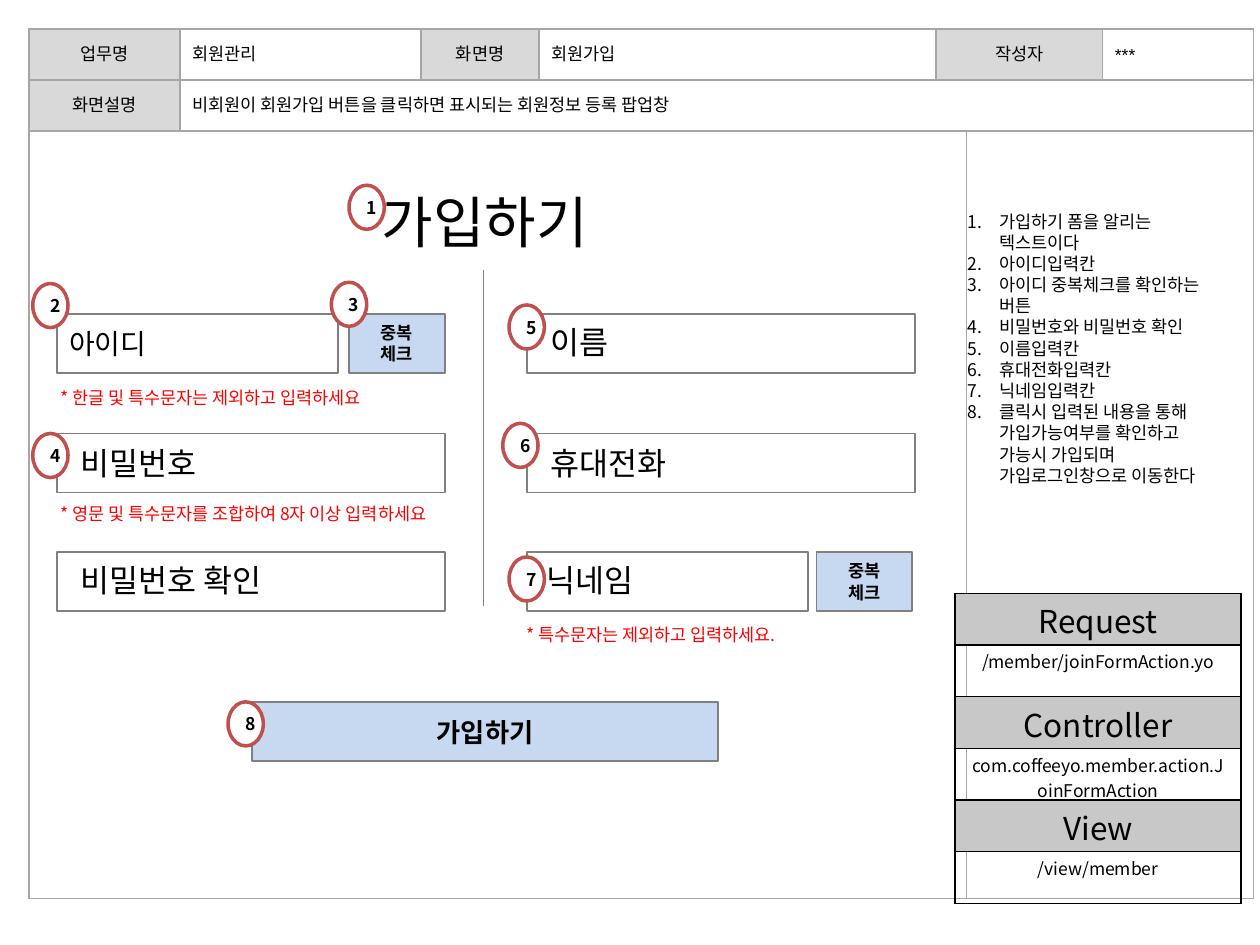
from dataclasses import dataclass
from typing import Optional
from lxml.etree import SubElement
from pptx import Presentation
from pptx.dml.color import RGBColor
from pptx.enum.shapes import MSO_CONNECTOR, MSO_SHAPE
from pptx.enum.text import MSO_ANCHOR, MSO_AUTO_SIZE, PP_ALIGN
from pptx.oxml.ns import qn
from pptx.util import Inches, Pt

COLORS = {"black": "000000", "white": "FFFFFF", "grid": "A6A6A6", "edge": "808080",
          "head": "D9D9D9", "spec": "C8C8C8", "button": "C6D9F1", "mark": "C0504D", "hint": "FF0000"}
NOTO = "Noto Sans CJK KR"
UNIT = Inches(0.1)
LINE_RATIO = 1.21
FIELD_ROWS = (24.9, 34.4, 43.8)
LEFT, RIGHT = 4.5, 41.8
FIELD_W, SHORT_W, FIELD_H = 30.8, 22.35, 4.7
CHECK_W, MARK_W, MARK_H = 7.6, 2.8, 3.5


@dataclass
class Box:
    col: float
    row: float
    cols: float
    rows: float

    def place(self) -> tuple:
        return tuple(round(v * UNIT) for v in (self.col, self.row, self.cols, self.rows))


@dataclass
class Style:
    size: float
    color: str = "black"
    bold: bool = False
    align: PP_ALIGN = PP_ALIGN.LEFT
    anchor: MSO_ANCHOR = MSO_ANCHOR.MIDDLE
    name: str = NOTO
    ratio: Optional[float] = LINE_RATIO
    numbered: bool = False


@dataclass
class Field:
    text: str
    box: Box
    label: Box


@dataclass
class Mark:
    number: int
    col: float
    row: float


@dataclass
class Hint:
    text: str
    col: float
    row: float


TITLE = Style(32, align=PP_ALIGN.CENTER, anchor=MSO_ANCHOR.TOP)
LIST = Style(10, anchor=MSO_ANCHOR.TOP, numbered=True)
CELL = Style(10, name="Arial")
CELL_HEAD = Style(10, name="Arial", align=PP_ALIGN.CENTER)
SPEC_HEAD = Style(18, align=PP_ALIGN.CENTER, anchor=MSO_ANCHOR.TOP, ratio=None)
SPEC = Style(10, align=PP_ALIGN.CENTER, anchor=MSO_ANCHOR.TOP, ratio=None)
ID_LABEL = Style(16)
LABEL = Style(18)
JOIN = Style(15, bold=True, align=PP_ALIGN.CENTER)
SMALL = Style(10, bold=True, align=PP_ALIGN.CENTER)
HINT = Style(10, "hint", anchor=MSO_ANCHOR.TOP)

FIELDS = [
    Field("비밀번호", Box(LEFT, FIELD_ROWS[1], FIELD_W, FIELD_H), Box(5.4, 35.4, 28.8, 2.6)),
    Field("비밀번호 확인", Box(LEFT, FIELD_ROWS[2], FIELD_W, FIELD_H), Box(5.4, 44.7, 28.1, 2.6)),
    Field("이름", Box(RIGHT, FIELD_ROWS[0], FIELD_W, FIELD_H), Box(42.7, 25.8, 27.7, 2.6)),
    Field("휴대전화", Box(RIGHT, FIELD_ROWS[1], FIELD_W, FIELD_H), Box(42.7, 35.4, 27, 2.6)),
    Field("닉네임", Box(RIGHT, FIELD_ROWS[2], SHORT_W, FIELD_H), Box(42.4, 44.7, 17.3, 2.6)),
]
MARKS = [Mark(1, 27.7, 14.7), Mark(2, 2.6, 22.5), Mark(3, 26.3, 22.4), Mark(4, 2.6, 34.4),
         Mark(5, 40.4, 24.2), Mark(6, 39.9, 33.6), Mark(7, 40.4, 44.2), Mark(8, 18.1, 55.7)]
HINTS = [Hint("* 한글 및 특수문자는 제외하고 입력하세요", 3.8, 30.2),
         Hint("* 영문 및 특수문자를 조합하여 8자 이상 입력하세요", 3.8, 39.4),
         Hint("* 특수문자는 제외하고 입력하세요.", 40.8, 49)]
NOTES = ["가입하기 폼을 알리는 텍스트이다", "아이디입력칸", "아이디 중복체크를 확인하는 버튼",
         "비밀번호와 비밀번호 확인", "이름입력칸", "휴대전화입력칸", "닉네임입력칸",
         "클릭시 입력된 내용을 통해 가입가능여부를 확인하고 가능시 가입되며 가입로그인창으로 이동한다"]
HEADER = [["업무명", "회원관리", "화면명", "회원가입", "작성자", "", "***"],
          ["화면설명", "비회원이 회원가입 버튼을 클릭하면 표시되는 회원정보 등록 팝업창"]]
HEADINGS = {"업무명", "화면명", "작성자", "화면설명"}
MERGES = [((0, 4), (0, 5)), ((1, 1), (1, 6)), ((2, 0), (2, 4)), ((2, 5), (2, 6))]
SPECS = ["Request", "/member/joinFormAction.yo", "Controller",
         "com.coffeeyo.member.action.JoinFormAction", "View", "/view/member"]


def rgb(key: str) -> RGBColor:
    return RGBColor.from_string(COLORS[key])


def write(tf, lines: list, st: Style) -> None:
    tf.word_wrap = True
    tf.vertical_anchor = st.anchor
    for i, line in enumerate(lines):
        p = tf.paragraphs[0] if i == 0 else tf.add_paragraph()
        spacing = Pt(st.size * st.ratio) if st.ratio else None
        for key, value in {"alignment": st.align, "space_before": Pt(0), "line_spacing": spacing}.items():
            setattr(p, key, value)
        if st.numbered:
            pPr = p._p.get_or_add_pPr()
            pPr.set("marL", str(Inches(0.25)))
            pPr.set("indent", str(-Inches(0.25)))
            SubElement(pPr, qn("a:buFont"), typeface=NOTO)
            SubElement(pPr, qn("a:buAutoNum"), type="arabicPeriod")
        r = p.add_run()
        r.text = line
        for key, value in {"size": Pt(st.size), "bold": st.bold, "name": st.name}.items():
            setattr(r.font, key, value)
        r.font.color.rgb = rgb(st.color)
        SubElement(r._r.get_or_add_rPr(), qn("a:ea"), typeface=NOTO)


def add_box(shapes, box: Box, fill: str, line: Optional[str] = "edge", width: float = 1,
            lines: Optional[list] = None, st: Style = SMALL, kind: MSO_SHAPE = MSO_SHAPE.RECTANGLE) -> None:
    sp = shapes.add_shape(kind, *box.place())
    sp.shadow.inherit = False
    sp.fill.solid()
    sp.fill.fore_color.rgb = rgb(fill)
    if line:
        sp.line.color.rgb = rgb(line)
        sp.line.width = Pt(width)
    else:
        sp.line.fill.background()
    if lines:
        write(sp.text_frame, lines, st)


def fill_placeholder(sp, box: Box, lines: list, st: Style) -> None:
    for key, value in zip(("left", "top", "width", "height"), box.place()):
        setattr(sp, key, value)
    write(sp.text_frame, lines, st)
    sp.text_frame.auto_size = MSO_AUTO_SIZE.NONE


def add_grid(s, box: Box, cols: list, rows: list, border: str):
    frame = s.shapes.add_table(len(rows), len(cols), *box.place())
    table = frame.table
    table.first_row = table.horz_banding = False
    for col, width in zip(table.columns, cols):
        col.width = round(width * UNIT)
    for row, height in zip(table.rows, rows):
        row.height = round(height * UNIT)
    for cell in table.iter_cells():
        tcPr = cell._tc.get_or_add_tcPr()
        for side in ("a:lnL", "a:lnR", "a:lnT", "a:lnB"):
            ln = SubElement(tcPr, qn(side), w=str(Pt(1)))
            SubElement(SubElement(ln, qn("a:solidFill")), qn("a:srgbClr"), val=COLORS[border])
        cell.fill.background()
    return frame


def fill_cell(cell, text: str, st: Style, fill: Optional[str]) -> None:
    write(cell.text_frame, [text], st)
    cell.vertical_anchor = st.anchor
    if fill:
        cell.fill.solid()
        cell.fill.fore_color.rgb = rgb(fill)


def main() -> None:
    prs = Presentation()
    prs.slide_width, prs.slide_height = 100 * UNIT, 75 * UNIT
    s = prs.slides.add_slide(prs.slide_layouts[1])

    frame = add_grid(s, Box(2.3, 2.3, 96.1, 69), [12, 19.1, 9.4, 31.5, 1.3, 10.8, 12],
                     [4.05, 4.05, 60.9], "grid")
    s.shapes.element.insert(2, frame.element)
    for start, end in MERGES:
        frame.table.cell(*start).merge(frame.table.cell(*end))
    for i, texts in enumerate(HEADER):
        for j, text in enumerate(texts):
            if text:
                head = text in HEADINGS
                fill_cell(frame.table.cell(i, j), text, CELL_HEAD if head else CELL, "head" if head else None)

    fill_placeholder(s.shapes.title, Box(26.9, 14.3, 23.2, 6.2), ["가입하기"], TITLE)
    fill_placeholder(s.placeholders[1], Box(75.8, 16.2, 22.7, 22.9), NOTES, LIST)

    add_box(s.shapes, Box(20, 55.7, 37, FIELD_H), "button", lines=["가입하기"], st=JOIN)
    add_box(s.shapes, Box(LEFT, FIELD_ROWS[0], SHORT_W, FIELD_H), "white", lines=["아이디"], st=ID_LABEL)
    for field in FIELDS:
        shapes = s.shapes.add_group_shape().shapes
        add_box(shapes, field.box, "white")
        add_box(shapes, field.label, "white", None, lines=[field.text], st=LABEL)
    for col, row in ((27.7, FIELD_ROWS[0]), (64.8, FIELD_ROWS[2])):
        add_box(s.shapes, Box(col, row, CHECK_W, FIELD_H), "button", lines=["중복", "체크"])

    x, top, bottom = (round(v * UNIT) for v in (38.4, 21.4, 48.1))
    divider = s.shapes.add_connector(MSO_CONNECTOR.STRAIGHT, x, top, x, bottom)
    divider.line.color.rgb = rgb("edge")
    divider.line.width = Pt(0.75)
    SubElement(divider.element.spPr, qn("a:effectLst"))

    for mark in MARKS:
        add_box(s.shapes, Box(mark.col, mark.row, MARK_W, MARK_H), "white", "mark", 2,
                [str(mark.number)], SMALL, MSO_SHAPE.OVAL)
    for hint in HINTS:
        sp = s.shapes.add_textbox(*Box(hint.col, hint.row, 37, 2.7).place())
        write(sp.text_frame, [hint.text], HINT)

    spec = add_grid(s, Box(75.8, 47.1, 22.7, 24.6), [22.7], [4.1] * len(SPECS), "black").table
    for i, text in enumerate(SPECS):
        cell = spec.cell(i, 0)
        head = i % 2 == 0
        fill_cell(cell, text, SPEC_HEAD if head else SPEC, "spec" if head else None)
        cell.margin_top, cell.margin_bottom = Inches(0.03), 0
    prs.save("out.pptx")


if __name__ == "__main__":
    main()
